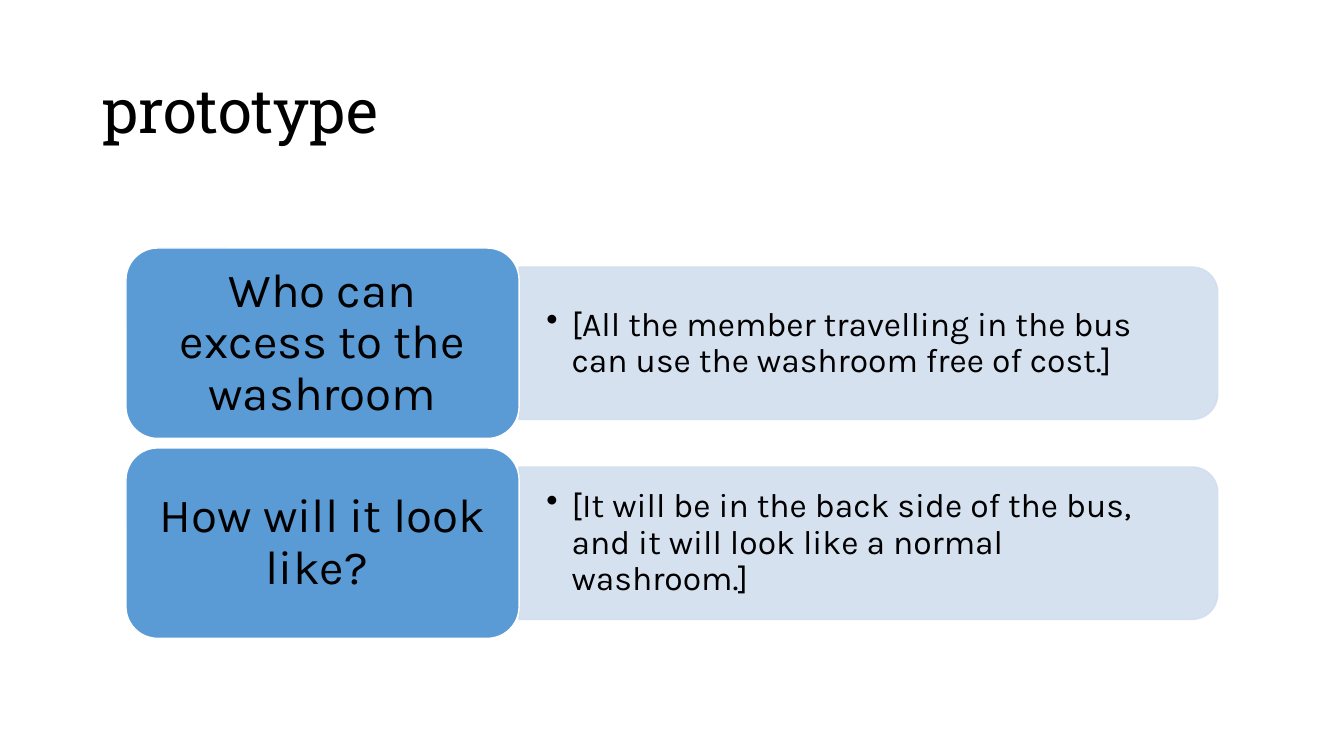
from lxml.etree import SubElement
from pptx import Presentation
from pptx.dml.color import RGBColor
from pptx.enum.shapes import MSO_SHAPE
from pptx.enum.text import MSO_ANCHOR, PP_ALIGN
from pptx.oxml.ns import qn
from pptx.util import Pt

theme = {
    "ink": RGBColor.from_string("000000"),
    "blue": RGBColor.from_string("5B9BD5"),
    "pale": RGBColor.from_string("D2DEEF"),
    "white": RGBColor.from_string("FFFFFF"),
    "alpha": 90,
    "title": {"name": "Roboto Slab", "size": Pt(44)},
    "label": {"name": "Karla", "size": Pt(34)},
    "body": {"name": "Karla", "size": Pt(24)},
}


def write(shape, text, style, align, side, edge):
    frame = shape.text_frame
    form = {
        "word_wrap": True,
        "vertical_anchor": MSO_ANCHOR.MIDDLE,
        "margin_left": Pt(side),
        "margin_right": Pt(side),
        "margin_top": Pt(edge),
        "margin_bottom": Pt(edge),
    }
    for key, value in form.items():
        setattr(frame, key, value)
    para = frame.paragraphs[0]
    para.alignment = align
    para.line_spacing = 0.9
    run = para.add_run()
    run.text = text
    for key, value in theme[style].items():
        setattr(run.font, key, value)
    run.font.color.rgb = theme["ink"]
    return para


def block(kind, left, top, width, height, fill, line):
    shape = slide.shapes.add_shape(kind, Pt(left), Pt(top), Pt(width), Pt(height))
    shape.shadow.inherit = False
    shape.fill.solid()
    shape.fill.fore_color.rgb = theme[fill]
    shape.line.color.rgb = theme[line]
    shape.line.width = Pt(1)
    return shape


deck = Presentation()
deck.slide_width, deck.slide_height = Pt(960), Pt(540)
slide = deck.slides.add_slide(deck.slide_layouts[6])

# Title
title = slide.shapes.add_textbox(Pt(66), Pt(28.75), Pt(828), Pt(104.4))
write(title, "prototype", "title", PP_ALIGN.LEFT, 7.2, 3.6)

# Question and answer rows
rows = [
    ("Who can excess to the washroom",
     "[All the member travelling in the bus can use the washroom free of cost.]"),
    ("How will it look like? ",
     "[It will be in the back side of the bus, and it will look like a normal washroom.]"),
]
left, split, first, pitch = 90, 370.8, 245.2, 142.8
tall, wide, deep = 136, 499, 108.8
for index, (label, answer) in enumerate(rows):
    mid = first + index * pitch

    # Pale panel, turned so that its round corners face right
    panel = block(MSO_SHAPE.ROUND_2_SAME_RECTANGLE, split + (wide - deep) / 2,
                  mid - wide / 2, deep, wide, "pale", "pale")
    panel.rotation = 90
    for color in panel.element.spPr.iter(qn("a:srgbClr")):
        SubElement(color, qn("a:alpha"), val=str(theme["alpha"] * 1000))

    # Answer with a bullet
    note = slide.shapes.add_textbox(Pt(split), Pt(mid - 49), Pt(494), Pt(98))
    para = write(note, answer, "body", PP_ALIGN.LEFT, 19.5, 9.75)
    props = para._p.get_or_add_pPr()
    props.set("marL", str(Pt(18)))
    props.set("indent", str(Pt(-18)))
    SubElement(props, qn("a:buChar"), char="•")

    # Question
    pill = block(MSO_SHAPE.ROUNDED_RECTANGLE, left, mid - tall / 2,
                 split - left, tall, "blue", "white")
    write(pill, label, "label", PP_ALIGN.CENTER, 10.2, 5.1)

deck.save("out.pptx")
